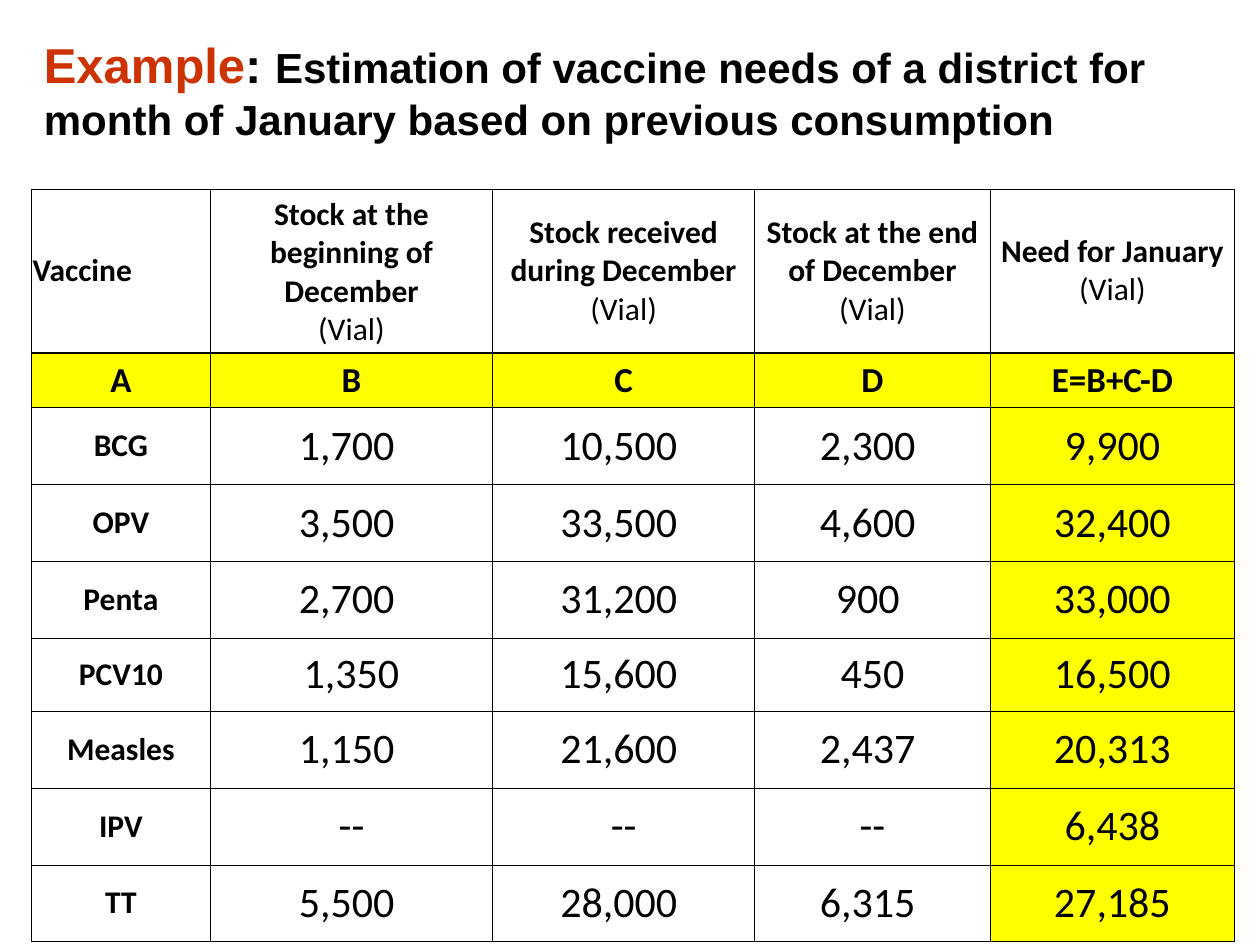
from lxml import etree
from pptx import Presentation
from pptx import util as u
from pptx.dml.color import RGBColor
from pptx.enum import text
from pptx.oxml.ns import qn

COLORS = {"accent": "CC3300", "ink": "000000", "highlight": "FFFF00"}
TITLE = [
    ("Example", 28, "accent"),
    (": ", 28, "ink"),
    ("Estimation of vaccine needs of a district for month of January "
     "based on previous consumption", 24, "ink"),
]
HEADINGS = [
    ("Vaccine", ""),
    ("Stock at the beginning of December", "(Vial)"),
    ("Stock received during December", "(Vial)"),
    ("Stock at the end of December", "(Vial)"),
    ("Need for January", "(Vial)"),
]
FORMULA = ("A", "B", "C", "D", "E=B+C-D")
STOCKS = [
    ("BCG", "1,700 ", "10,500 ", "2,300 ", "9,900"),
    ("OPV", "3,500 ", "33,500 ", "4,600 ", "32,400"),
    ("Penta", "2,700 ", "31,200 ", "900 ", "33,000"),
    ("PCV10", "1,350", "15,600 ", "450", "16,500"),
    ("Measles", "1,150 ", "21,600 ", "2,437 ", "20,313"),
    ("IPV", "--", "--", "--", "6,438"),
    ("TT", "5,500 ", "28,000 ", "6,315 ", "27,185"),
]
COLUMN_WIDTHS = [1.42, 2.24, 2.08, 1.87, 1.94]
ROW_HEIGHTS = [1.23, 0.35, 0.61, 0.61, 0.61, 0.58, 0.61, 0.61, 0.61]
THIN, OUTER, RULE = 0.23, 0.45, 0.96


def rgb(name):
    return RGBColor.from_string(COLORS[name])


def style(font, face, size, bold, color="ink"):
    font.name, font.size, font.bold = face, u.Pt(size), bold
    font.color.rgb = rgb(color)


def set_borders(cell, widths):
    properties = cell._tc.get_or_add_tcPr()
    for index, (side, width) in enumerate(widths.items()):
        line = etree.Element(qn(f"a:ln{side}"), w=str(u.Pt(width)))
        fill = etree.SubElement(line, qn("a:solidFill"))
        etree.SubElement(fill, qn("a:srgbClr"), val=COLORS["ink"])
        properties.insert(index, line)


def add_title(slide):
    box = slide.shapes.add_textbox(u.Inches(0.25), u.Inches(0.25),
                                   u.Inches(9.75), u.Inches(0.92))
    frame = box.text_frame
    frame.word_wrap = True
    frame.vertical_anchor = text.MSO_ANCHOR.MIDDLE
    paragraph = frame.paragraphs[0]
    paragraph.font.name, paragraph.font.bold = "Arial", True
    for words, size, color in TITLE:
        run = paragraph.add_run()
        run.text = words
        run.font.size = u.Pt(size)
        run.font.color.rgb = rgb(color)


def fill_cell(cell, row, column):
    last_row, last_column = len(ROW_HEIGHTS) - 1, len(COLUMN_WIDTHS) - 1
    cell.vertical_anchor = text.MSO_ANCHOR.MIDDLE
    cell.margin_left = cell.margin_right = u.Inches(0.01)
    cell.margin_top = cell.margin_bottom = u.Inches(0.05)
    if row == 1 or (row > 1 and column == last_column):
        cell.fill.solid()
        cell.fill.fore_color.rgb = rgb("highlight")
    else:
        cell.fill.background()

    paragraph = cell.text_frame.paragraphs[0]
    if row or column:
        paragraph.alignment = text.PP_ALIGN.CENTER
    if row == 0:
        heading, unit = HEADINGS[column]
        style(paragraph.font, "Calibri", 18, True)
        paragraph.add_run().text = heading
        if unit:
            paragraph.add_line_break()
            unit_run = paragraph.add_run()
            unit_run.text = unit
            unit_run.font.bold = False
    else:
        size = 20 if row == 1 else 18 if column == 0 else 24
        style(paragraph.font, "Calibri", size, row == 1 or column == 0)
        paragraph.add_run().text = ([FORMULA] + STOCKS)[row - 1][column]

    set_borders(cell, {
        "L": OUTER if column == 0 else THIN,
        "R": OUTER if column == last_column else THIN,
        "T": {0: OUTER, 1: RULE}.get(row, THIN),
        "B": {0: RULE, last_row: OUTER}.get(row, THIN),
    })


def add_stock_table(slide):
    table = slide.shapes.add_table(
        len(ROW_HEIGHTS), len(COLUMN_WIDTHS), u.Inches(0.25), u.Inches(1.5),
        u.Inches(sum(COLUMN_WIDTHS)), u.Inches(sum(ROW_HEIGHTS))).table
    table.first_row = table.horz_banding = False
    for column, width in zip(table.columns, COLUMN_WIDTHS):
        column.width = u.Inches(width)
    for row, height in zip(table.rows, ROW_HEIGHTS):
        row.height = u.Inches(height)
    for row in range(len(ROW_HEIGHTS)):
        for column in range(len(COLUMN_WIDTHS)):
            fill_cell(table.cell(row, column), row, column)


def main():
    deck = Presentation()
    deck.slide_width, deck.slide_height = u.Inches(10), u.Inches(7.5)
    slide = deck.slides.add_slide(deck.slide_layouts[6])
    add_title(slide)
    add_stock_table(slide)
    deck.save("out.pptx")


if __name__ == "__main__":
    main()
